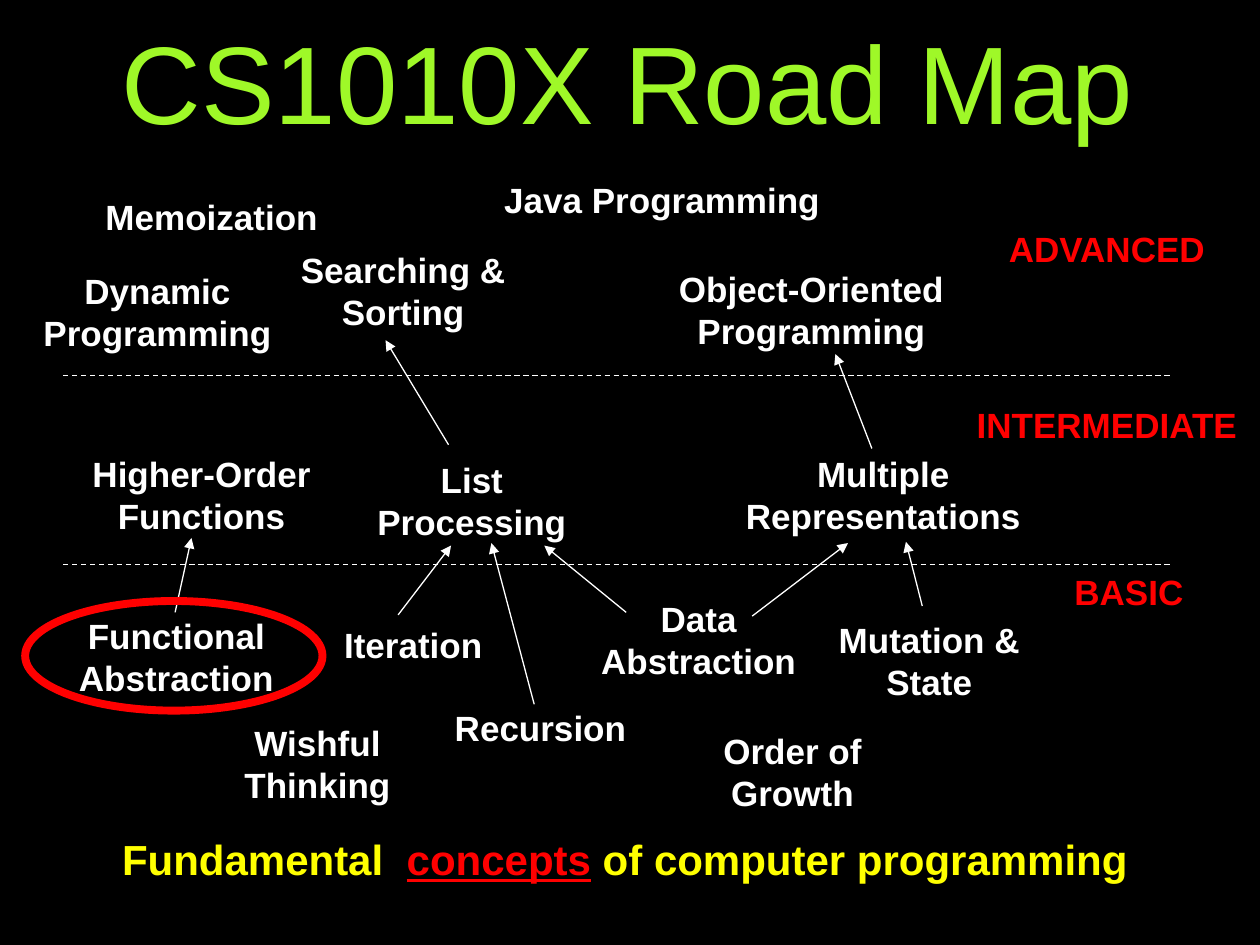
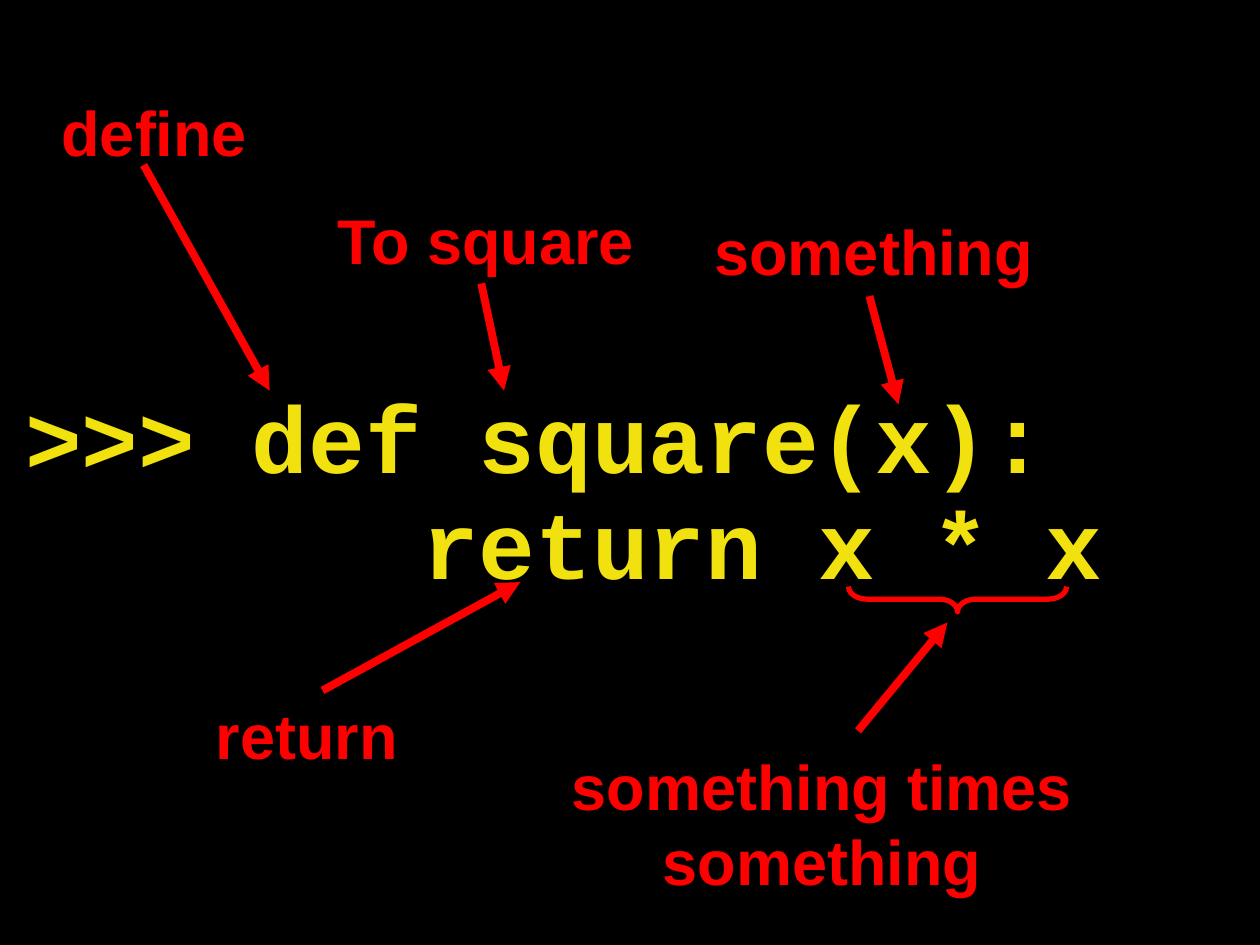
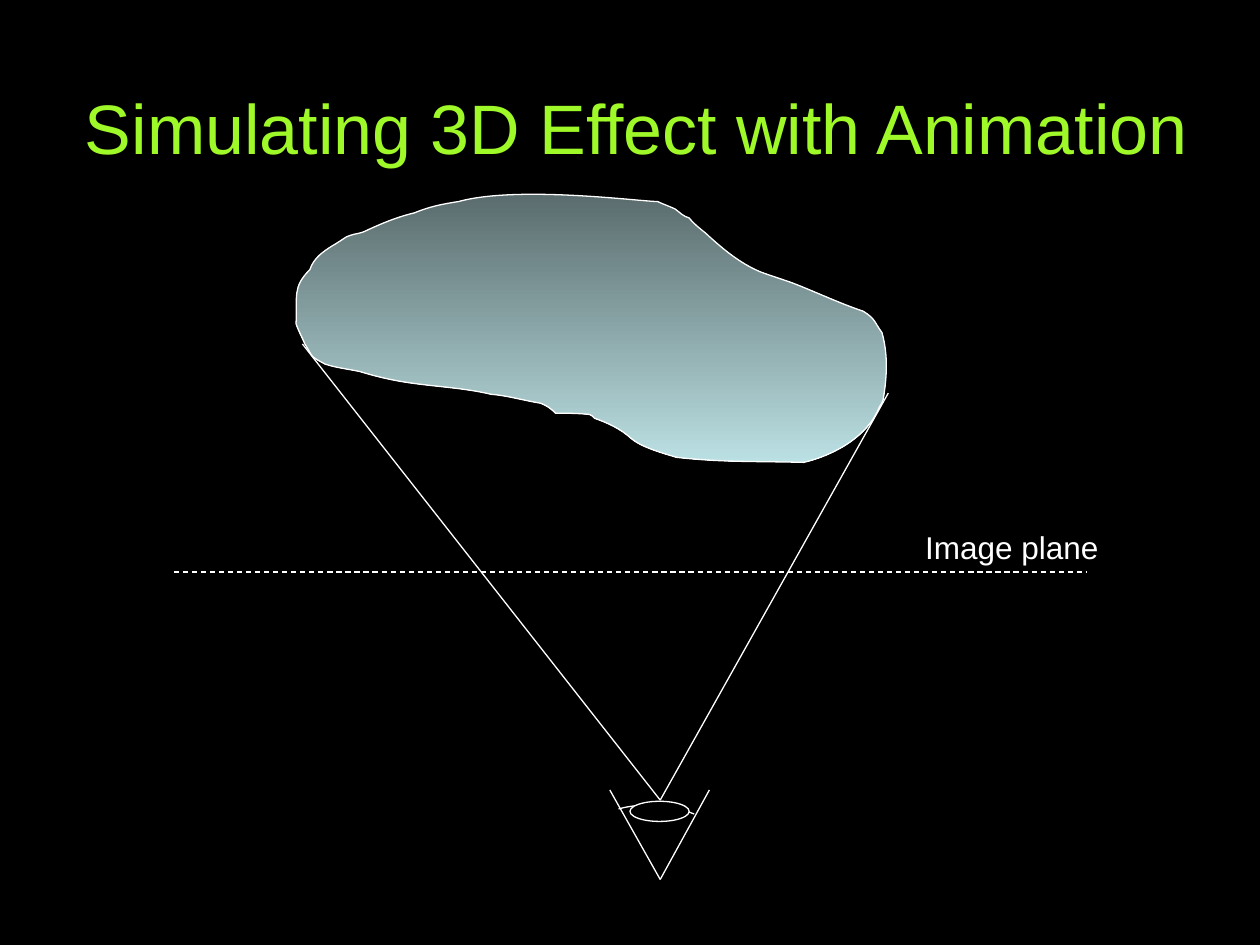
from typing import NamedTuple

from lxml import etree
from pptx import Presentation
from pptx import util as u
from pptx.dml.color import RGBColor
from pptx.enum import dml, shapes, text
from pptx.oxml import ns

COLORS = {
    "black": "000000", "white": "FFFFFF", "red": "FF0000", "yellow": "FFFF00",
    "code": "F1E10F", "title": "9FF828", "blob_top": "576869", "blob_bottom": "BBE0E3",
}
TIGHT = (0.06, 0.06, 0.1, 0.06)
NORMAL = (0.1, 0.05, 0.1, 0.05)
Point = tuple[float, float]
Box = tuple[float, float, float, float]


class Run(NamedTuple):
    text: str
    color: str
    underline: bool = False


class Style(NamedTuple):
    size: float
    color: str
    bold: bool = True
    font: str = "Arial"
    center: bool = True
    wrap: bool = True
    grow: bool = True
    middle: bool = False
    insets: Box = NORMAL
    line_spacing: float | None = None
    space_before: float = 0


class Label(NamedTuple):
    text: str
    box: Box


class Line(NamedTuple):
    start: Point
    end: Point
    arrow: bool = False
    dash: bool = False


TOPIC = Style(20, "white")
LEVEL = TOPIC._replace(color="red")
SUMMARY = Style(24, "yellow", center=False, wrap=False)
NOTE = Style(36, "red", wrap=False)
CAPTION = Style(18, "white", bold=False)
TITLE = Style(63, "title", bold=False, grow=False, middle=True, insets=TIGHT)
CODE = Style(54, "code", font="Courier New", center=False, grow=False, insets=TIGHT,
             line_spacing=0.8, space_before=9)


# Shared drawing helpers
def rgb(name: str) -> RGBColor:
    return RGBColor.from_string(COLORS[name])


def inches(values) -> list[u.Length]:
    return [u.Inches(v) for v in values]


def add_slide(prs):
    slide = prs.slides.add_slide(prs.slide_layouts[6])
    fill = slide.background.fill
    fill.solid()
    fill.fore_color.rgb = rgb("black")
    return slide


def add_text(slide, box: Box, paragraphs: list[list[Run]], style: Style) -> None:
    tf = slide.shapes.add_textbox(*inches(box)).text_frame
    tf.word_wrap = style.wrap
    tf.auto_size = (text.MSO_AUTO_SIZE.SHAPE_TO_FIT_TEXT if style.grow
                    else text.MSO_AUTO_SIZE.NONE)
    tf.vertical_anchor = text.MSO_ANCHOR.MIDDLE if style.middle else text.MSO_ANCHOR.TOP
    tf.margin_left, tf.margin_top, tf.margin_right, tf.margin_bottom = inches(style.insets)
    for i, runs in enumerate(paragraphs):
        p = tf.add_paragraph() if i else tf.paragraphs[0]
        p.alignment = text.PP_ALIGN.CENTER if style.center else text.PP_ALIGN.LEFT
        if style.line_spacing:
            p.line_spacing = style.line_spacing
        if i and style.space_before:
            p.space_before = u.Pt(style.space_before)
        for run in runs:
            for j, part in enumerate(run.text.split("\n")):
                if j:
                    p.add_line_break()
                r = p.add_run()
                r.text = part
                r.font.name, r.font.size = style.font, u.Pt(style.size)
                r.font.bold, r.font.underline = style.bold, run.underline
                r.font.color.rgb = rgb(run.color)


def add_labels(slide, labels: list[Label], style: Style) -> None:
    for label in labels:
        add_text(slide, label.box, [[Run(label.text, style.color)]], style)


def add_lines(slide, lines: list[Line], color: str = "white", width: float = 0.75) -> None:
    for line in lines:
        sp = slide.shapes.add_connector(shapes.MSO_CONNECTOR.STRAIGHT,
                                        *inches(line.start + line.end))
        sp.line.color.rgb = rgb(color)
        sp.line.width = u.Pt(width)
        if line.dash:
            sp.line.dash_style = dml.MSO_LINE.DASH
        if line.arrow:
            etree.SubElement(sp.line._get_or_add_ln(), ns.qn("a:tailEnd"), type="triangle")
        etree.SubElement(sp._element.spPr, ns.qn("a:effectLst"))


def outline(sp, color: str, width: float) -> None:
    sp.shadow.inherit = False
    sp.line.color.rgb = rgb(color)
    sp.line.width = u.Pt(width)


def add_outlined(slide, kind, box: Box, color: str, width: float, fill: str | None = None):
    sp = slide.shapes.add_shape(kind, *inches(box))
    outline(sp, color, width)
    if fill:
        sp.fill.solid()
        sp.fill.fore_color.rgb = rgb(fill)
    else:
        sp.fill.background()
    return sp


def add_curve(slide, points: list[Point], close: bool = False):
    """Draw cubic curves: a start, then two handles and an end for each curve."""
    start, *others = [inches(point) for point in points]
    builder = slide.shapes.build_freeform(*start)
    builder.add_line_segments(others, close=close)
    sp = builder.convert_to_shape()
    segments = list(sp._element.iter(ns.qn("a:lnTo")))
    for i in range(0, len(others), 3):
        curve = etree.Element(ns.qn("a:cubicBezTo"))
        segments[i].addprevious(curve)
        for segment in segments[i:i + 3]:
            curve.append(segment[0])
            segment.getparent().remove(segment)
    outline(sp, "white", 0.75)
    return sp


# Slide 1: road map
LEVELS = [
    Label("BASIC", (8.08, 4.48, 1.76, 0.43)),
    Label("INTERMEDIATE", (7.57, 3.15, 2.43, 0.43)),
    Label("ADVANCED", (7.57, 1.76, 2.43, 0.43)),
]
TOPICS = [
    Label("Functional Abstraction", (0.52, 4.83, 1.76, 0.77)),
    Label("Higher-Order Functions", (0.51, 3.54, 2.18, 0.77)),
    Label("Recursion", (3.41, 5.56, 1.76, 0.43)),
    Label("Iteration", (2.4, 4.9, 1.76, 0.43)),
    Label("Wishful Thinking", (1.64, 5.68, 1.76, 0.77)),
    Label("Order of Growth", (5.41, 5.74, 1.76, 0.77)),
    Label("Data Abstraction", (4.66, 4.69, 1.77, 0.77)),
    Label("List Processing", (2.86, 3.59, 1.77, 0.77)),
    Label("Multiple\nRepresentations", (5.74, 3.54, 2.54, 0.77)),
    Label("Object-Oriented Programming", (5.19, 2.07, 2.5, 0.77)),
    Label("Java Programming", (3.9, 1.37, 2.71, 0.43)),
    Label("Memoization", (0.68, 1.5, 2, 0.43)),
    Label("Dynamic Programming", (0, 2.09, 2.5, 0.77)),
    Label("Mutation & State", (6.49, 4.86, 1.77, 0.77)),
    Label("Searching & Sorting", (1.95, 1.92, 2.5, 0.77)),
]
LEVEL_DIVIDERS = [Line((0.5, y), (9.31, y), dash=True) for y in (2.98, 4.48)]
TOPIC_ARROWS = [
    Line((1.39, 4.86), (1.52, 4.27), arrow=True),
    Line((3.16, 4.88), (3.58, 4.33), arrow=True),
    Line((4.24, 5.59), (3.9, 4.31), arrow=True),
    Line((4.97, 4.86), (4.32, 4.33), arrow=True),
    Line((5.97, 4.89), (6.73, 4.31), arrow=True),
    Line((7.32, 4.81), (7.19, 4.3), arrow=True),
    Line((6.92, 3.56), (6.63, 2.81), arrow=True),
    Line((3.56, 3.53), (3.06, 2.7), arrow=True),
]


def road_map(prs) -> None:
    slide = add_slide(prs)
    add_labels(slide, [Label("CS1010X Road Map", (0.5, 0.07, 9, 1.14))], TITLE)
    add_lines(slide, LEVEL_DIVIDERS)
    add_labels(slide, LEVELS, LEVEL)
    add_labels(slide, TOPICS, TOPIC)
    add_lines(slide, TOPIC_ARROWS)
    add_text(slide, (0.87, 6.57, 8.18, 0.5), [[
        Run("Fundamental  ", "yellow"),
        Run("concepts", "red", underline=True),
        Run(" of computer programming", "yellow"),
    ]], SUMMARY)
    add_outlined(slide, shapes.MSO_SHAPE.OVAL, (0.2, 4.77, 2.36, 0.87), "red", 4.5)


# Slide 2: parts of a function definition
CODE_LINES = [">>> def square(x):", "       return x * x"]
CODE_NOTES = [
    Label("define", (0.39, 0.69, 1.67, 0.7)),
    Label("To square", (2.56, 1.55, 2.59, 0.7)),
    Label("something", (5.57, 1.64, 2.73, 0.7)),
    Label("return", (1.61, 5.48, 1.65, 0.7)),
    Label("something times\nsomething", (4.44, 5.88, 4.17, 1.3)),
]
NOTE_ARROWS = [
    Line((1.14, 1.31), (2.14, 3.1), arrow=True),
    Line((3.82, 2.25), (4, 3.1), arrow=True),
    Line((6.9, 2.35), (7.13, 3.21), arrow=True),
    Line((2.56, 5.48), (4.13, 4.62), arrow=True),
    Line((6.81, 5.8), (7.52, 4.94), arrow=True),
]


def function_definition(prs) -> None:
    slide = add_slide(prs)
    add_text(slide, (0.14, 3.12, 9.74, 1.73),
             [[Run(line, CODE.color)] for line in CODE_LINES], CODE)
    add_labels(slide, CODE_NOTES, NOTE)
    add_lines(slide, NOTE_ARROWS, "red", 4.5)
    brace = add_outlined(slide, shapes.MSO_SHAPE.LEFT_BRACE, (7.5, 3.89, 0.2, 1.73), "red", 3)
    brace.adjustments[0] = 0.72
    brace.rotation = 270


# Slide 3: viewing an object through the image plane
OBJECT_OUTLINE = [
    (4.29, 3.2),
    (4.16, 3.18), (4.03, 3.14), (3.9, 3.13), (3.69, 3.08), (3.47, 3.07), (3.26, 3.04),
    (3.12, 3.02), (2.99, 2.99), (2.86, 2.95), (2.77, 2.93), (2.67, 2.92), (2.58, 2.89),
    (2.45, 2.82), (2.49, 2.84), (2.42, 2.73), (2.4, 2.68), (2.37, 2.63), (2.35, 2.57),
    (2.36, 2.35), (2.32, 2.28), (2.46, 2.14), (2.49, 2.05), (2.56, 2), (2.64, 1.95),
    (2.66, 1.94), (2.72, 1.9), (2.75, 1.88), (2.85, 1.84), (2.83, 1.87), (2.93, 1.82),
    (3.04, 1.77), (3.16, 1.72), (3.29, 1.69), (3.41, 1.64), (3.51, 1.62), (3.64, 1.6),
    (4.11, 1.47), (5.09, 1.6), (5.22, 1.6), (5.26, 1.62), (5.32, 1.64), (5.36, 1.66),
    (5.38, 1.67), (5.39, 1.69), (5.41, 1.7), (5.43, 1.72), (5.45, 1.72), (5.47, 1.73),
    (5.51, 1.78), (5.55, 1.81), (5.6, 1.85), (5.73, 1.97), (5.87, 2.09), (6.04, 2.16),
    (6.12, 2.19), (6.22, 2.22), (6.3, 2.25), (6.48, 2.32), (6.67, 2.41), (6.85, 2.47),
    (6.95, 2.53), (6.94, 2.56), (7, 2.64), (7.05, 2.82), (7.04, 2.99), (7.01, 3.17),
    (7.01, 3.19), (6.99, 3.21), (6.98, 3.23), (6.89, 3.46), (6.63, 3.61), (6.38, 3.67),
    (5.96, 3.66), (5.73, 3.67), (5.37, 3.63), (5.27, 3.6), (5.09, 3.55), (5.01, 3.48),
    (4.92, 3.4), (4.83, 3.36), (4.72, 3.32), (4.71, 3.31), (4.69, 3.29), (4.68, 3.29),
    (4.59, 3.28), (4.5, 3.28), (4.41, 3.28), (4.37, 3.24), (4.34, 3.22), (4.29, 3.2),
]
EYE_ARC = [(4.91, 6.42), (4.92, 6.42), (4.94, 6.41), (4.95, 6.41),
           (5.14, 6.37), (5.33, 6.39), (5.51, 6.46)]
PUPIL, EYE_CORNER = (5.24, 6.35), (5.24, 6.98)


def image_plane(prs) -> None:
    slide = add_slide(prs)
    add_labels(slide, [Label("Simulating 3D Effect with Animation", (0.3, 0.38, 9.5, 1.25))],
               TITLE._replace(size=40, insets=NORMAL))
    # Viewed object
    fill = add_curve(slide, OBJECT_OUTLINE, close=True).fill
    fill.gradient()
    fill.gradient_angle = 270
    for stop, color in zip(fill.gradient_stops, ("blob_top", "blob_bottom")):
        stop.color.rgb = rgb(color)
    # Image plane
    add_lines(slide, [Line((1.38, 4.54), (8.62, 4.54), dash=True)])
    add_labels(slide, [Label("Image plane", (6.89, 4.14, 2.28, 0.4))], CAPTION)
    # Eye
    add_lines(slide, [Line((x, 6.27), EYE_CORNER) for x in (4.84, 5.63)])
    add_curve(slide, EYE_ARC).fill.background()
    add_outlined(slide, shapes.MSO_SHAPE.OVAL, (5, 6.36, 0.47, 0.16), "white", 0.75, "black")
    # Lines of sight
    add_lines(slide, [Line(edge, PUPIL) for edge in ((2.4, 2.73), (7.05, 3.12))])


def main() -> None:
    prs = Presentation()
    prs.slide_width, prs.slide_height = u.Inches(10), u.Inches(7.5)
    road_map(prs)
    function_definition(prs)
    image_plane(prs)
    prs.save("out.pptx")


if __name__ == "__main__":
    main()
